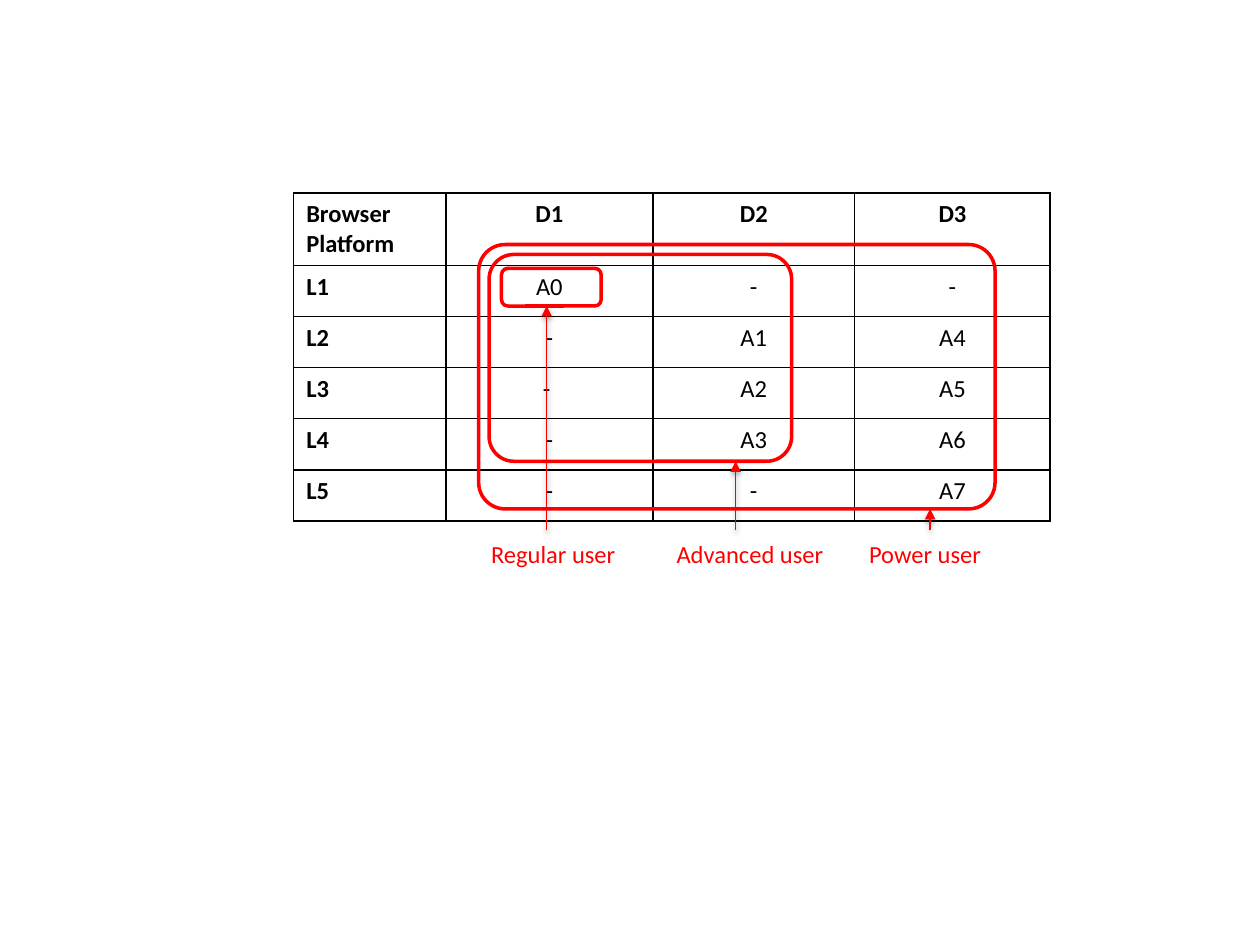
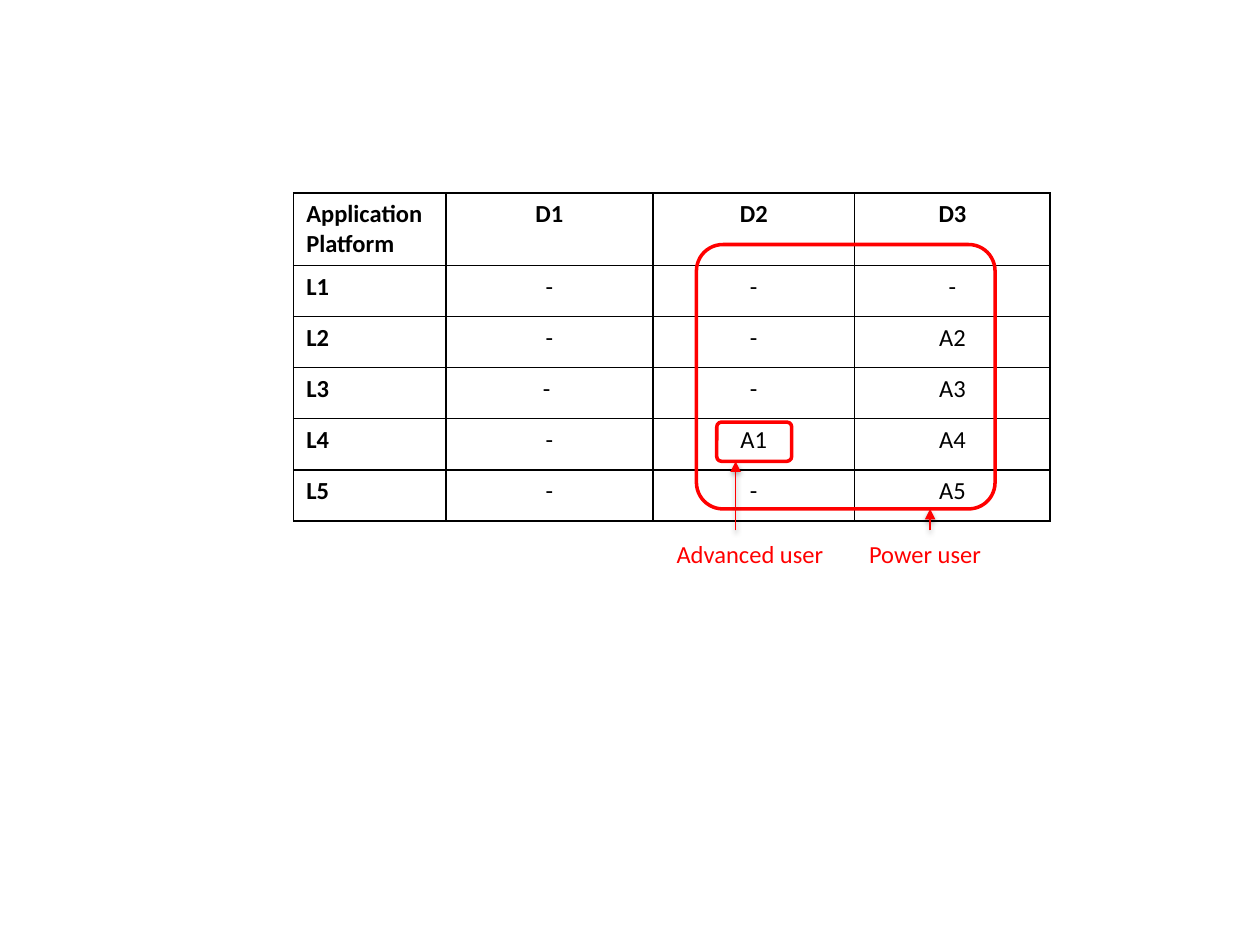
from pptx import Presentation
from pptx.dml.color import RGBColor
from pptx.enum.shapes import MSO_CONNECTOR, MSO_SHAPE
from pptx.enum.text import MSO_AUTO_SIZE, PP_ALIGN
from pptx.oxml import parse_xml
from pptx.oxml.ns import nsdecls
from pptx.util import Cm, Pt

RED = RGBColor(0xFF, 0x00, 0x00)
BLACK = RGBColor(0x00, 0x00, 0x00)
FONT = "Calibri"
SIZE = Pt(14)

LEFT, TOP = 5.92, 3.89
WIDTHS = [3.07, 4.17, 4.07, 3.94]
HEAD, ROW = 1.46, 1.03
LEVELS = ["L1", "L2", "L3", "L4", "L5"]
DOMAINS = ["D1", "D2", "D3"]

LABEL_TOP, LABEL_HIGH = 10.74, 0.86
ARROW_FROM = 10.69
USERS = {
    "Regular user": (9.65, 3.05, 11.02, 6.17),
    "Advanced user": (13.39, 3.51, 14.83, 9.3),
    "Power user": (17.27, 2.79, 18.75, 10.26),
}


def style(para, color, bold=False):
    for run in para.runs:
        font = run.font
        font.name, font.size, font.bold = FONT, SIZE, bold
        font.color.rgb = color


def border(cell):
    props = cell._tc.get_or_add_tcPr()
    for side in "LRTB":
        props.append(parse_xml(
            f'<a:ln{side} {nsdecls("a")} w="{Pt(1)}"><a:solidFill>'
            f'<a:srgbClr val="{BLACK}"/></a:solidFill></a:ln{side}>'))


def add_grid(slide, title, values):
    lines = [[title] + DOMAINS]
    lines += [[level] + row for level, row in zip(LEVELS, values)]
    heights = [HEAD] + [ROW] * len(LEVELS)
    frame = slide.shapes.add_table(
        len(lines), len(WIDTHS), Cm(LEFT), Cm(TOP),
        Cm(sum(WIDTHS)), Cm(sum(heights)))
    table = frame.table
    table.first_row = table.horz_banding = False
    for column, width in zip(table.columns, WIDTHS):
        column.width = Cm(width)
    for row, height, line in zip(table.rows, heights, lines):
        row.height = Cm(height)
        for index, (cell, text) in enumerate(zip(row.cells, line)):
            border(cell)
            cell.fill.background()
            cell.text_frame.text = text
            for para in cell.text_frame.paragraphs:
                para.alignment = PP_ALIGN.CENTER if index else PP_ALIGN.LEFT
                style(para, BLACK, index == 0 or line is lines[0])


def add_ring(slide, left, top, width, height, curve):
    ring = slide.shapes.add_shape(
        MSO_SHAPE.ROUNDED_RECTANGLE,
        Cm(left), Cm(top), Cm(width), Cm(height))
    ring.adjustments[0] = curve
    ring.shadow.inherit = False
    ring.fill.background()
    ring.line.color.rgb = RED
    ring.line.width = Pt(2)


def add_label(slide, text, left, width):
    box = slide.shapes.add_textbox(
        Cm(left), Cm(LABEL_TOP), Cm(width), Cm(LABEL_HIGH))
    frame = box.text_frame
    frame.word_wrap = False
    frame.auto_size = MSO_AUTO_SIZE.SHAPE_TO_FIT_TEXT
    frame.text = text
    style(frame.paragraphs[0], RED)


def add_arrow(slide, x, end):
    arrow = slide.shapes.add_connector(
        MSO_CONNECTOR.STRAIGHT, Cm(x), Cm(ARROW_FROM), Cm(x), Cm(end))
    arrow.line.color.rgb = RED
    arrow.line.width = Pt(0.75)
    arrow.line._get_or_add_ln().append(
        parse_xml(f'<a:tailEnd {nsdecls("a")} type="triangle"/>'))
    arrow._element.spPr.append(parse_xml(
        f'<a:effectLst {nsdecls("a")}><a:outerShdw blurRad="{Pt(3.1)}" '
        f'dist="{Pt(1.6)}" dir="5400000" rotWithShape="0">'
        f'<a:srgbClr val="{BLACK}"><a:alpha val="38000"/></a:srgbClr>'
        '</a:outerShdw></a:effectLst>'))


def add_page(deck, title, values, rings, users):
    slide = deck.slides.add_slide(deck.slide_layouts[6])
    add_grid(slide, title, values)
    for ring in rings:
        add_ring(slide, *ring)
    for user in users:
        left, width, x, end = USERS[user]
        add_label(slide, user, left, width)
        add_arrow(slide, x, end)


def main():
    deck = Presentation()
    deck.slide_width, deck.slide_height = Cm(25.4), Cm(19.05)
    users = list(USERS)
    add_page(
        deck, "Browser Platform",
        [["A0", "-", "-"],
         ["-", "A1", "A4"],
         ["- ", "A2", "A5"],
         ["-", "A3", "A6"],
         ["-", "-", "A7"]],
        [(10.11, 5.41, 2.01, 0.76, 0.17),
         (9.86, 5.13, 6.1, 4.17, 0.12),
         (9.65, 4.93, 10.41, 5.33, 0.1)],
        users)
    add_page(
        deck, "Application\nPlatform",
        [["-", "-", "-"],
         ["-", "-", "A2"],
         ["- ", "-", "A3"],
         ["-", "A1", "A4"],
         ["-", "-", "A5"]],
        [(14.45, 8.51, 1.51, 0.79, 0.12),
         (14.04, 4.93, 6.02, 5.33, 0.1)],
        users[1:])
    deck.save("out.pptx")


if __name__ == "__main__":
    main()
